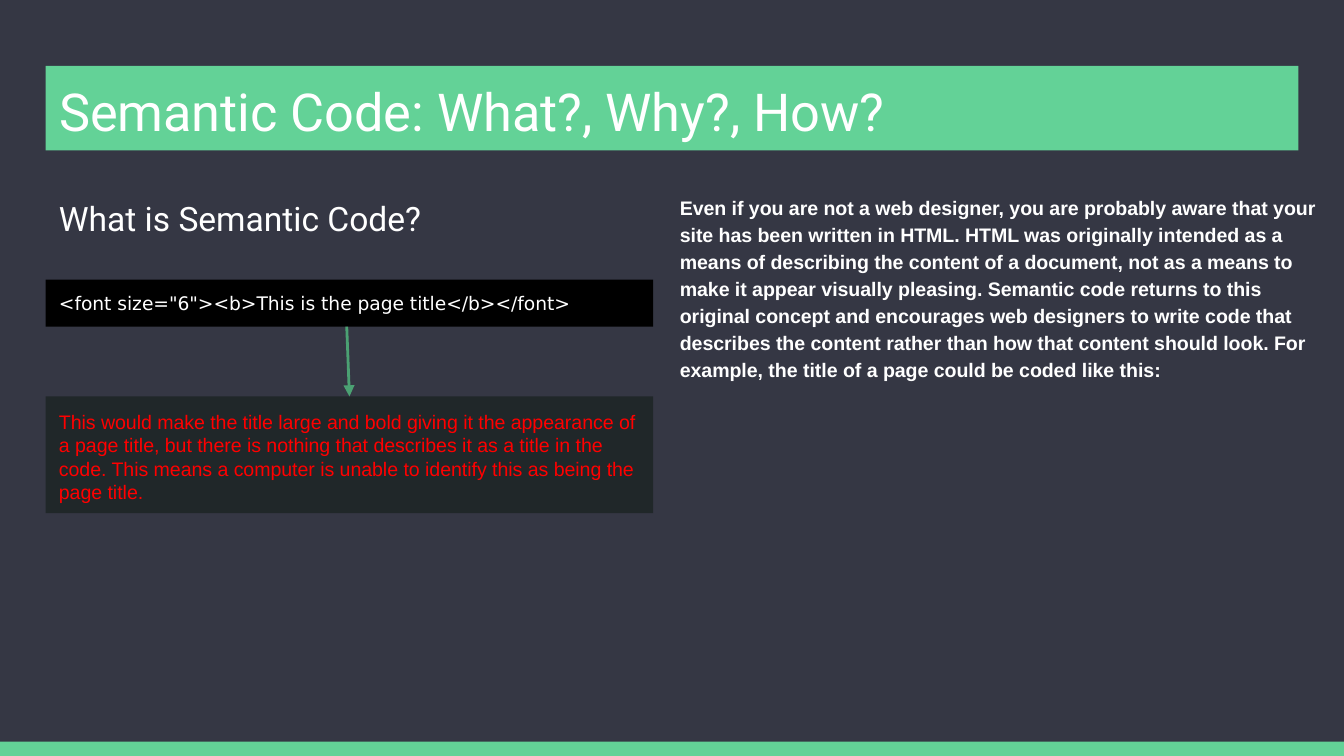
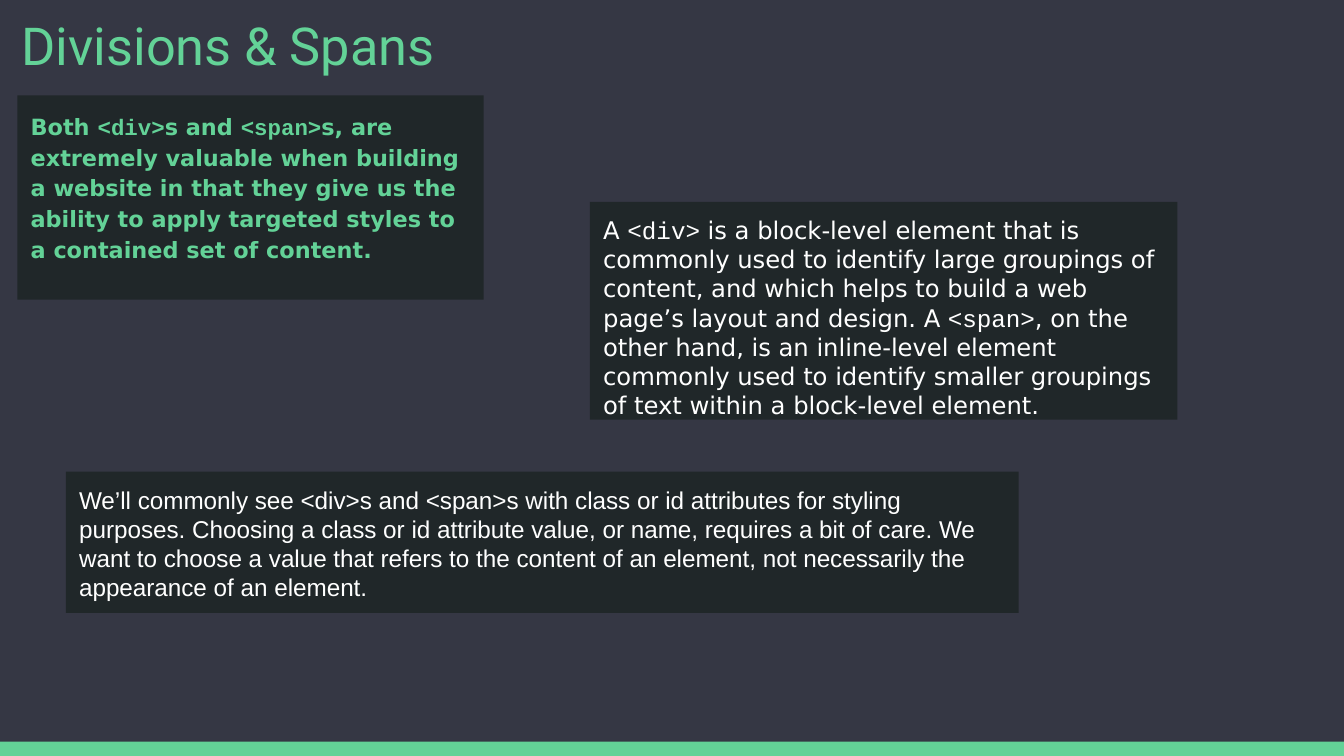
"""Build two slides on semantic code, divisions and spans."""
from dataclasses import dataclass

from lxml.etree import SubElement
from pptx import Presentation
from pptx.dml.color import RGBColor
from pptx.enum.shapes import MSO_CONNECTOR, MSO_SHAPE
from pptx.enum.text import MSO_ANCHOR, MSO_AUTO_SIZE, PP_ALIGN
from pptx.oxml.ns import qn
from pptx.util import Inches, Pt


@dataclass(frozen=True)
class Theme:
    background: str = "353744"
    green: str = "63D297"
    arrow: str = "4BA173"
    panel: str = "202729"
    black: str = "000000"
    white: str = "FFFFFF"
    red: str = "FF0000"
    heading_font: str = "Roboto"
    text_font: str = "Arial"
    wide_font: str = "DejaVu Sans"
    code_font: str = "Courier New"
    title_size: float = 28
    subtitle_size: float = 18
    panel_size: float = 13
    lead_size: float = 12
    detail_size: float = 10.5
    snippet_size: float = 10


theme = Theme()
presentation = Presentation()
presentation.slide_width = Inches(10)
presentation.slide_height = Inches(5.625)
column = presentation.slide_width / 100
row = presentation.slide_height / 100

master_fill = presentation.slide_master.background.fill
master_fill.solid()
master_fill.fore_color.rgb = RGBColor.from_string(theme.background)


def place(shape, box, fill=None):
    """Position a shape on the 100 by 100 grid and give it a plain fill."""
    left, top, width, height = box
    shape.left, shape.top = round(left * column), round(top * row)
    shape.width, shape.height = round(width * column), round(height * row)
    if fill:
        shape.fill.solid()
        shape.fill.fore_color.rgb = RGBColor.from_string(fill)
        shape.line.fill.background()
        shape.shadow.inherit = False
    return shape


def write(shape, segments, font, size, color, bold=False, spacing=1.0, after=0,
          anchor=MSO_ANCHOR.TOP):
    """Write segments in one paragraph, with every second one in the code font."""
    frame = shape.text_frame
    frame.word_wrap = True
    frame.auto_size = MSO_AUTO_SIZE.NONE
    frame.vertical_anchor = anchor
    frame.margin_left = frame.margin_right = Inches(0.1)
    frame.margin_top = frame.margin_bottom = Inches(0.1)
    paragraph = frame.paragraphs[0]
    paragraph.text = segments[0]
    for segment in segments[1:]:
        paragraph.add_run().text = segment
    paragraph.alignment = PP_ALIGN.LEFT
    paragraph.line_spacing = spacing
    paragraph.space_before, paragraph.space_after = Pt(0), Pt(after)
    for index, run in enumerate(paragraph.runs):
        run.font.name = theme.code_font if index % 2 else font
        run.font.size = Pt(size)
        run.font.bold = bold
        run.font.color.rgb = RGBColor.from_string(color)


margin = 3.4
title_width, title_height = 93.2, 11.2
panel_width = 45.2
snippet_top, snippet_height = 36.98, 6.22
result_top = 52.44

slide_plans = [
    {
        "title": ("Semantic Code: What?, Why?, How?", margin, 8.71, theme.green, theme.white),
        "blocks": [
            ((margin, 23.64, 31.3, 7.29), None, ["What is Semantic Code?"],
             dict(font=theme.heading_font, size=theme.subtitle_size, color=theme.white,
                  spacing=1.15)),
            ((49.6, 23.64, 49.5, 32.71), theme.background,
             ["Even if you are not a web designer, you are probably aware that your site has "
              "been written in HTML. HTML was originally intended as a means of describing the "
              "content of a document, not as a means to make it appear visually pleasing. "
              "Semantic code returns to this original concept and encourages web designers to "
              "write code that describes the content rather than how that content should look. "
              "For example, the title of a page could be coded like this:"],
             dict(font=theme.text_font, size=theme.detail_size, color=theme.white,
                  bold=True, spacing=1.15, after=16)),
            ((margin, snippet_top, panel_width, snippet_height), theme.black,
             ['<font size="6"><b>This is the page title</b></font>'],
             dict(font=theme.wide_font, size=theme.snippet_size, color=theme.white,
                  anchor=MSO_ANCHOR.MIDDLE)),
            ((margin, result_top, panel_width, 15.47), theme.panel,
             ["This would make the title large and bold giving it the appearance of a page "
              "title, but there is nothing that describes it as a title in the code. This means "
              "a computer is unable to identify this as being the page title."],
             dict(font=theme.text_font, size=theme.detail_size, color=theme.red)),
        ],
        "arrow": (25.8, snippet_top + snippet_height, margin + panel_width / 2, result_top),
    },
    {
        "title": ("Divisions & Spans", 0.6, 0, None, theme.green),
        "blocks": [
            ((1.3, 12.62, 34.7, 27.02), theme.panel,
             ["Both ", "<div>", "s and ", "<span>",
              "s, are extremely valuable when building a website in that they give us the "
              "ability to apply targeted styles to a contained set of content."],
             dict(font=theme.wide_font, size=theme.lead_size, color=theme.green,
                  bold=True, spacing=1.15, after=16)),
            ((43.9, 26.7, 43.7, 28.8), theme.panel,
             ["A ", "<div>",
              " is a block-level element that is commonly used to identify large groupings of "
              "content, and which helps to build a web page’s layout and design. A ", "<span>",
              ", on the other hand, is an inline-level element commonly used to identify smaller "
              "groupings of text within a block-level element."],
             dict(font=theme.wide_font, size=theme.panel_size, color=theme.white)),
            ((4.9, 62.4, 70.9, 18.7), theme.panel,
             ["We’ll commonly see <div>s and <span>s with class or id attributes for styling "
              "purposes. Choosing a class or id attribute value, or name, requires a bit of care. "
              "We want to choose a value that refers to the content of an element, not "
              "necessarily the appearance of an element."],
             dict(font=theme.text_font, size=theme.panel_size, color=theme.white)),
        ],
        "arrow": None,
    },
]

title_only = presentation.slide_layouts.get_by_name("Title Only")
for plan in slide_plans:
    slide = presentation.slides.add_slide(title_only)
    shapes = slide.shapes
    place(shapes.add_shape(MSO_SHAPE.RECTANGLE, 0, 0, 0, 0), (0, 98.1, 100, 1.9), theme.green)

    title, left, top, fill, color = plan["title"]
    place(shapes.title, (left, top, title_width, title_height), fill)
    write(shapes.title, [title], theme.heading_font, theme.title_size, color)

    for box, fill, segments, style in plan["blocks"]:
        if fill:
            block = shapes.add_shape(MSO_SHAPE.RECTANGLE, 0, 0, 0, 0)
        else:
            block = shapes.add_textbox(0, 0, 0, 0)
        write(place(block, box, fill), segments, **style)

    if plan["arrow"]:
        start_x, start_y, end_x, end_y = plan["arrow"]
        arrow = shapes.add_connector(
            MSO_CONNECTOR.STRAIGHT, round(start_x * column), round(start_y * row),
            round(end_x * column), round(end_y * row))
        arrow.line.color.rgb = RGBColor.from_string(theme.arrow)
        arrow.line.width = Pt(1.5)
        SubElement(arrow.line._get_or_add_ln(), qn("a:tailEnd"), type="triangle")
        SubElement(arrow._element.spPr, qn("a:effectLst"))

presentation.save("out.pptx")
